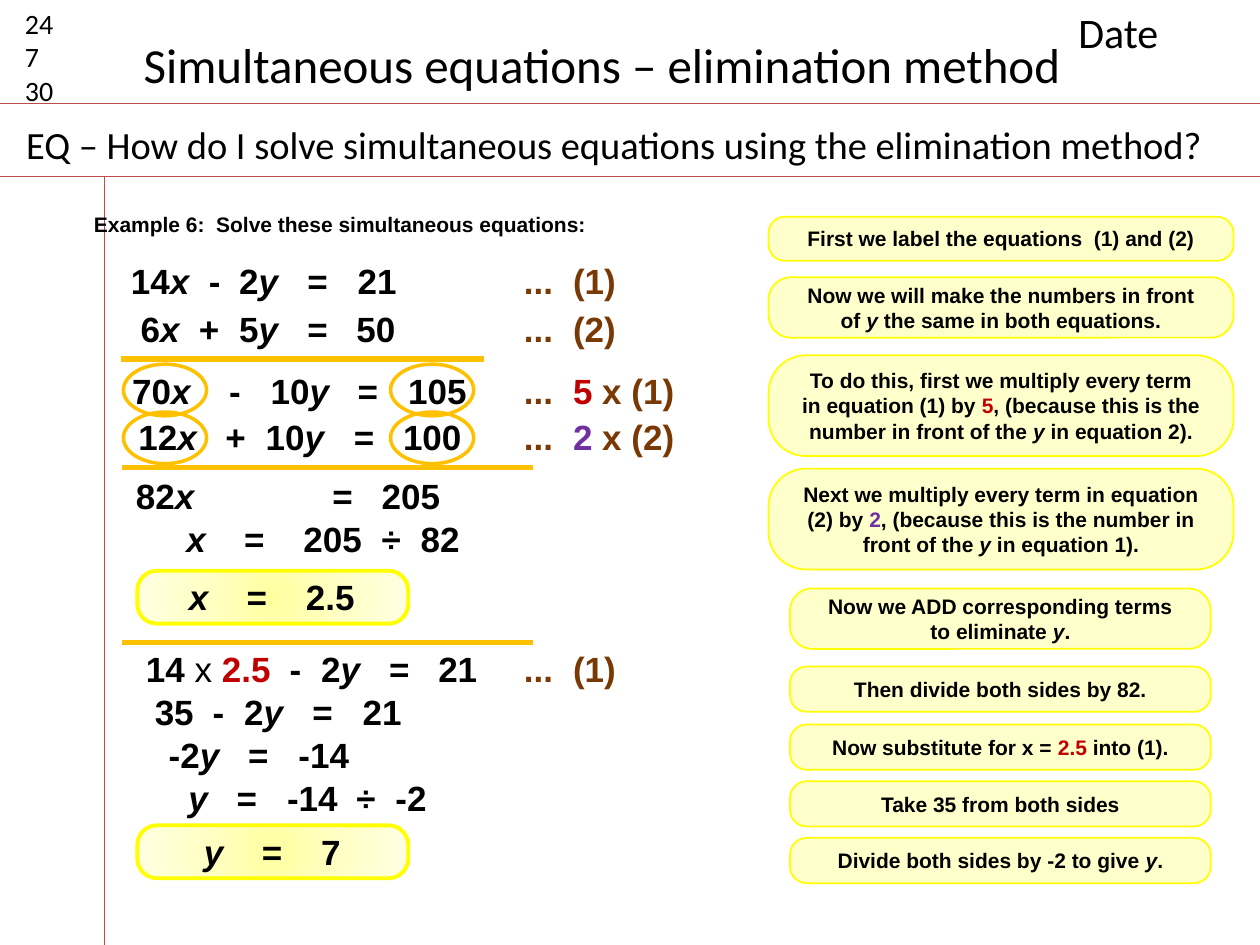
from dataclasses import dataclass
from typing import Optional

from lxml import etree
from pptx import Presentation
from pptx.dml.color import RGBColor
from pptx.enum.shapes import MSO_CONNECTOR as Connector, MSO_SHAPE as Preset
from pptx.enum.text import MSO_ANCHOR as Anchor, MSO_AUTO_SIZE as AutoSize, PP_ALIGN as Align
from pptx.oxml import parse_xml
from pptx.oxml.ns import nsdecls, qn
from pptx.util import Inches, Pt


@dataclass(frozen=True)
class Theme:
    black: str = "000000"
    rule: str = "BF4C48"
    gold: str = "FFC000"
    label: str = "793905"
    red: str = "C00000"
    purple: str = "7030A0"
    card: str = "FFFFCC"
    border: str = "FFFF00"
    glow: tuple = ((0, "FFFFA0"), (50, "FFFFC5"), (100, "FFFFE3"))
    heading_font: str = "Calibri"
    body_font: str = "Arial"
    title_size: int = 28
    date_size: int = 24
    question_size: int = 22
    margin_size: int = 16
    equation_size: int = 20
    note_size: int = 12


@dataclass(frozen=True)
class Run:
    text: str
    italic: bool = False
    bold: bool = True
    color: Optional[str] = None


THEME = Theme()
X = Run("x", italic=True)
Y = Run("y", italic=True)
FIVE = Run("5", color=THEME.red)
TWO = Run("2", color=THEME.purple)
X_VALUE = Run("2.5", color=THEME.red)


class LessonSlide:
    """Holds the theme and the slide being drawn."""

    def __init__(self, slide, theme):
        self.slide = slide
        self.theme = theme

    def add_runs(self, paragraph, runs, size, font, bold, color, align=Align.LEFT, stops=()):
        paragraph.alignment = align
        if stops:
            tab_list = etree.SubElement(paragraph._p.get_or_add_pPr(), qn("a:tabLst"))
            for stop in stops:
                etree.SubElement(tab_list, qn("a:tab"), pos=str(Inches(stop)), algn="l")
        for item in runs:
            piece = item if isinstance(item, Run) else Run(item)
            run = paragraph.add_run()
            run.text = piece.text
            run.font.name = font
            run.font.size = Pt(size)
            run.font.bold = bold and piece.bold
            run.font.italic = piece.italic
            run.font.color.rgb = RGBColor.from_string(piece.color or color)

    def text(self, left, top, width, height, lines, size, font=None, bold=True,
             color=None, align=Align.LEFT, stops=(), shapes=None):
        box = (shapes or self.slide.shapes).add_textbox(
            Inches(left), Inches(top), Inches(width), Inches(height))
        frame = box.text_frame
        frame.word_wrap = True
        frame.auto_size = AutoSize.SHAPE_TO_FIT_TEXT
        for index, runs in enumerate(lines):
            paragraph = frame.add_paragraph() if index else frame.paragraphs[0]
            self.add_runs(paragraph, runs, size, font or self.theme.body_font, bold,
                          color or self.theme.black, align, stops)

    def heading(self, left, top, width, height, lines, size):
        self.text(left, top, width, height, [[line] for line in lines], size,
                  font=self.theme.heading_font, bold=False)

    def title(self, left, top, width, height, words):
        title = self.slide.shapes.title
        title.left, title.top = Inches(left), Inches(top)
        title.width, title.height = Inches(width), Inches(height)
        frame = title.text_frame
        frame.word_wrap = False
        frame.auto_size = AutoSize.SHAPE_TO_FIT_TEXT
        frame.vertical_anchor = Anchor.TOP
        self.add_runs(frame.paragraphs[0], [words], self.theme.title_size,
                      self.theme.heading_font, False, self.theme.black)

    def line(self, x1, y1, x2, y2, color, weight):
        connector = self.slide.shapes.add_connector(
            Connector.STRAIGHT, Inches(x1), Inches(y1), Inches(x2), Inches(y2))
        connector.line.color.rgb = RGBColor.from_string(color)
        connector.line.width = Pt(weight)
        etree.SubElement(connector._element.spPr, qn("a:effectLst"))

    def shape(self, preset, left, top, width, height, line, weight, fill=None, shapes=None):
        shape = (shapes or self.slide.shapes).add_shape(
            preset, Inches(left), Inches(top), Inches(width), Inches(height))
        shape.shadow.inherit = False
        shape.line.color.rgb = RGBColor.from_string(line)
        shape.line.width = Pt(weight)
        if fill:
            shape.fill.solid()
            shape.fill.fore_color.rgb = RGBColor.from_string(fill)
        else:
            shape.fill.background()
        if preset == Preset.ROUNDED_RECTANGLE:
            shape.adjustments[0] = 0.37
        return shape

    def equation(self, left, top, width, runs, stops=(), color=None, shapes=None):
        self.text(left, top, width, 0.44, [runs], self.theme.equation_size,
                  color=color, stops=stops, shapes=shapes)

    def label(self, top, runs):
        self.equation(4.06, top, 1.53, ["...\t", *runs], (0.39,), self.theme.label)

    def card(self, left, top, width, height, text_width, line_count, runs):
        shapes = self.slide.shapes.add_group_shape().shapes
        self.shape(Preset.ROUNDED_RECTANGLE, left, top, width, height,
                   self.theme.border, 1, self.theme.card, shapes)
        text_height = 0.1 + 0.2 * line_count
        self.text(left + (width - text_width) / 2, top + (height - text_height) / 2,
                  text_width, text_height, [runs], self.theme.note_size,
                  align=Align.CENTER, shapes=shapes)

    def answer(self, top, text_left, runs):
        shapes = self.slide.shapes.add_group_shape().shapes
        shape = self.shape(Preset.ROUNDED_RECTANGLE, 1.09, top, 2.15, 0.42,
                           self.theme.border, 2.25, self.theme.card, shapes)
        stops = "".join(f'<a:gs pos="{place * 1000}"><a:srgbClr val="{color}"/></a:gs>'
                        for place, color in self.theme.glow)
        gradient = parse_xml(
            f'<a:gradFill {nsdecls("a")} rotWithShape="1"><a:gsLst>{stops}</a:gsLst>'
            '<a:path path="circle"><a:fillToRect l="50000" t="50000" r="50000" b="50000"/>'
            '</a:path></a:gradFill>')
        solid = shape._element.spPr.find(qn("a:solidFill"))
        solid.getparent().replace(solid, gradient)
        self.equation(text_left, top - 0.01, 1.57, runs, (0.46, 0.93), shapes=shapes)


def main():
    presentation = Presentation()
    presentation.slide_width, presentation.slide_height = Inches(10), Inches(7.5)
    page = LessonSlide(presentation.slides.add_slide(presentation.slide_layouts[5]), THEME)

    # Exercise-book rules and headings
    for rule in ((0, 0.82, 10, 0.82), (0, 1.4, 10, 1.4), (0.83, 1.4, 0.83, 7.5)):
        page.line(*rule, THEME.rule, 0.75)
    page.heading(0.1, 0, 0.63, 0.91, ["24", "7", "30"], THEME.margin_size)
    page.heading(8.46, 0, 1.5, 0.5, ["Date"], THEME.date_size)
    page.heading(0.11, 0.91, 9.87, 0.47, [
        "EQ – How do I solve simultaneous equations using the elimination method?",
    ], THEME.question_size)
    page.title(1.04, 0.22, 7.56, 0.57, "Simultaneous equations – elimination method")
    page.text(0.52, 1.63, 4.36, 0.3, [["Example 6:  Solve these simultaneous equations:"]],
              THEME.note_size, align=Align.CENTER)

    # Working: left, top, runs, tab stops
    for left, top, runs, stops in (
        (0.94, 2.01, ["14", X, "\t-\t2", Y, "\t=\t21"], (0.62, 0.86, 1.4, 1.8)),
        (0.94, 2.39, [" 6", X, "\t+\t5", Y, "\t=\t50"], (0.54, 0.86, 1.4, 1.79)),
        (0.95, 2.88, ["70", X, "\t-\t10", Y, "\t=\t105"], (0.77, 1.1, 1.79, 2.19)),
        (1, 3.25, ["12", X, "\t+\t10", Y, "\t=\t100"], (0.69, 1.01, 1.71, 2.1)),
        (0.98, 3.72, ["82", X], ()),
        (2.54, 3.72, ["=\t205"], (0.39,)),
        (1.38, 4.06, [X, "\t=\t205\t÷\t82"], (0.46, 0.93, 1.55, 1.86)),
        (1.06, 5.09, ["14 ", Run("x ", bold=False), X_VALUE, "\t-\t2", Y, "\t=\t21"],
         (1.14, 1.39, 1.93, 2.32)),
        (1.13, 5.43, ["35\t-\t2", Y, "\t=\t21"], (0.46, 0.71, 1.25, 1.65)),
        (1.24, 5.77, ["-2", Y, "\t=\t-14"], (0.63, 1.03)),
        (1.32, 6.11, [Run(" y", italic=True), "\t=\t-14\t÷\t-2"], (0.46, 0.86, 1.41, 1.72)),
    ):
        page.equation(left, top, 3.35, runs, stops)

    # Equation labels
    for top, runs in ((2.01, ["(1)"]), (2.39, ["(2)"]), (2.88, [FIVE, " x (1)"]),
                      (3.25, [TWO, " x (2)"]), (5.09, ["(1)"])):
        page.label(top, runs)

    # Dividers between the steps
    for left, right, top in ((0.96, 3.84, 2.85), (0.97, 4.23, 3.71), (0.97, 4.23, 5.1)):
        page.line(left, top, right, top, THEME.gold, 3)

    # Explanation cards: top, height, line count, runs
    wide, narrow = (6.1, 3.69, 3.42), (6.27, 3.34, 3.1)
    for (left, width, text_width), top, height, line_count, runs in (
        (wide, 1.72, 0.35, 1, ["First we label the equations  (1) and (2)"]),
        (wide, 2.2, 0.48, 2, ["Now we will make the numbers in front of ", Y,
                              " the same in both equations."]),
        (wide, 2.82, 0.8, 3, ["To do this, first we multiply every term in equation (1) by ",
                              FIVE, ", (because this is the number in front of the ", Y,
                              " in equation 2)."]),
        (wide, 3.72, 0.8, 3, ["Next we multiply every term in equation (2) by ", TWO,
                              ", (because this is the number in front of the ", Y,
                              " in equation 1)."]),
        (narrow, 4.67, 0.48, 2, ["Now we ADD corresponding terms to eliminate ", Y, "."]),
        (narrow, 5.29, 0.36, 1, ["Then divide both sides by 82."]),
        (narrow, 5.75, 0.36, 1, ["Now substitute for x = ", X_VALUE, " into (1)."]),
        (narrow, 6.2, 0.36, 1, ["Take 35 from both sides"]),
        (narrow, 6.65, 0.36, 1, ["Divide both sides by -2 to give ", Y, "."]),
    ):
        page.card(left, top, width, height, text_width, line_count, runs)

    # Answers
    page.answer(4.53, 1.4, [X, "\t=\t2.5"])
    page.answer(6.55, 1.52, [Y, "\t=\t7"])

    # Rings around the terms that are added
    for left in (0.98, 3.1):
        for top in (2.89, 3.27):
            page.shape(Preset.OVAL, left, top, 0.66, 0.41, THEME.gold, 2)

    presentation.save("out.pptx")


if __name__ == "__main__":
    main()
